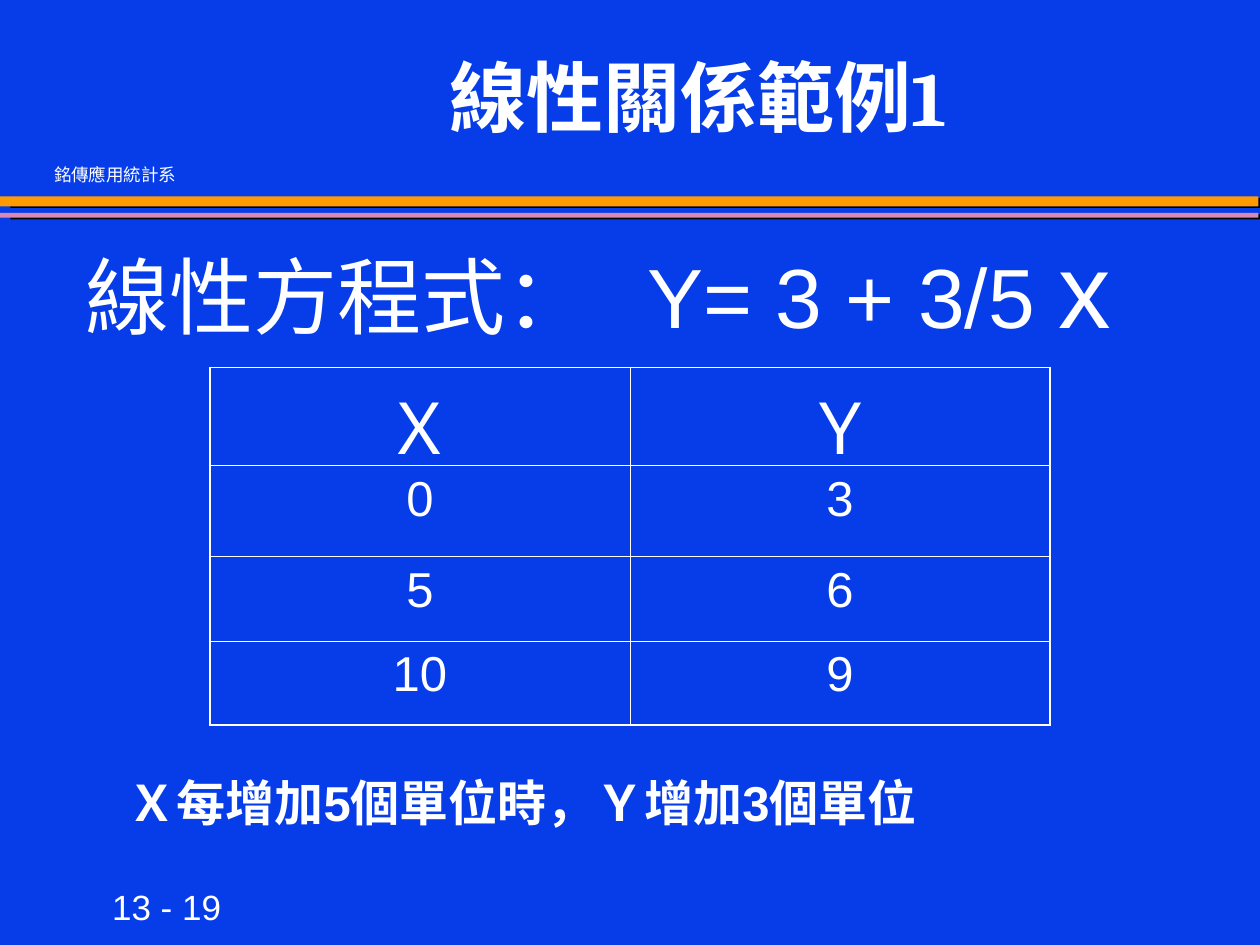
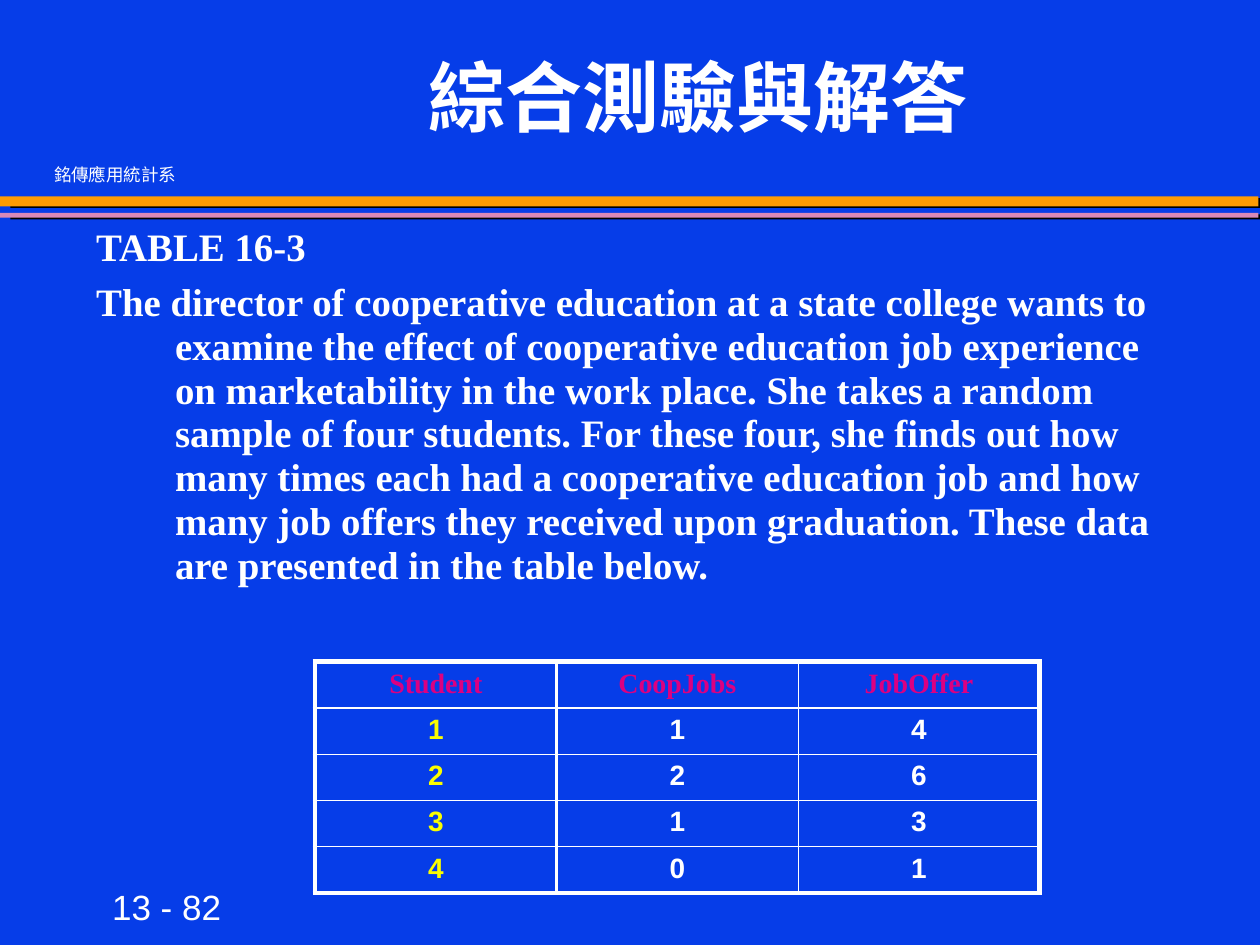
from lxml import etree
from pptx import Presentation
from pptx.dml.color import RGBColor
from pptx.enum import shapes, text
from pptx.oxml import ns
from pptx.util import Cm, Pt

BLUE = RGBColor(0x06, 0x3D, 0xE8)
ORANGE = RGBColor(0xFE, 0x9B, 0x03)
PINK = RGBColor(0xD9, 0x89, 0xB8)
WHITE = RGBColor(0xFF, 0xFF, 0xFF)
MAGENTA = RGBColor(0xDC, 0x00, 0x81)
YELLOW = RGBColor(0xFA, 0xFD, 0x00)
SANS, SERIF, TITLE_FONT = "Arial", "Times New Roman", "Cambria"

DEPARTMENT = "銘傳應用統計系"
BANDS = [(3.96, 0.2, ORANGE), (4.29, 0.1, PINK)]  # top, height, colour
THIN = 0.45

LINEAR = {
    "title": "線性關係範例1",
    "page": "13 - 19",
    "equation": [("線性方程式：\tY= 3 + 3/5 ", 48), ("x", 60)],
    "rows": [("Ｘ", "Ｙ"), ("0", "3"), ("5", "6"), ("10", "9")],
    "caption": "Ｘ每增加5個單位時，Ｙ增加3個單位",
}
QUIZ = {
    "title": "綜合測驗與解答",
    "page": "13 - 82",
    "body": [
        "TABLE 16-3",
        "The director of cooperative education at a state college wants to "
        "examine the effect of cooperative education job experience on "
        "marketability in the work place. She takes a random sample of four "
        "students. For these four, she finds out how many times each had a "
        "cooperative education job and how many job offers they received upon "
        "graduation. These data are presented in the table below.",
    ],
    "rows": [("Student", "CoopJobs", "JobOffer"), ("1", "1", "4"),
             ("2", "2", "6"), ("3", "1", "3"), ("4", "0", "1")],
}


def add_run(p, words, size, font=SANS, color=WHITE, bold=False):
    r = p.add_run()
    r.text = words
    f = r.font
    f.size, f.name, f.bold = Pt(size), font, bold
    f.color.rgb = color


def add_box(s, left, top, width, height, wrap=True):
    tf = s.shapes.add_textbox(Cm(left), Cm(top), Cm(width), Cm(height)).text_frame
    tf.word_wrap = wrap
    return tf


def add_band(s, top, height, color):
    sp = s.shapes.add_shape(shapes.MSO_SHAPE.RECTANGLE, 0, Cm(top), Cm(25.37), Cm(height))
    sp.fill.solid()
    sp.fill.fore_color.rgb = color
    sp.line.fill.background()
    sp.shadow.inherit = False
    effects = sp._element.spPr.find(ns.qn("a:effectLst"))
    shadow = etree.SubElement(effects, ns.qn("a:outerShdw"), blurRad="0",
                              dist=str(Pt(6.1)), dir=str(9 * 60000), algn="ctr")
    etree.SubElement(shadow, ns.qn("a:srgbClr"), val="000000")


def add_base_slide(prs, content):
    """Add a slide with the title, bands, department and page number."""
    s = prs.slides.add_slide(prs.slide_layouts[5])
    for band in BANDS:
        add_band(s, *band)

    title = s.shapes.title
    title.left, title.top, title.width, title.height = Cm(4.65), Cm(0.43), Cm(18.85), Cm(3.18)
    tf = title.text_frame
    tf.auto_size = text.MSO_AUTO_SIZE.NONE
    tf.vertical_anchor = text.MSO_ANCHOR.MIDDLE
    p = tf.paragraphs[0]
    p.alignment, p.line_spacing = text.PP_ALIGN.CENTER, 0.95
    add_run(p, content["title"], 44, TITLE_FONT, bold=True)

    add_run(add_box(s, 0.84, 3.18, 3.18, 1.09).paragraphs[0], DEPARTMENT, 10)
    add_run(add_box(s, 2.01, 17.73, 5.13, 1.09, wrap=False).paragraphs[0], content["page"], 20)
    return s


def set_borders(cell, widths):
    """Draw white borders; widths are points for left, right, top, bottom."""
    tcPr = cell._tc.get_or_add_tcPr()
    for i, (side, width) in enumerate(zip("LRTB", widths)):
        ln = etree.Element(ns.qn(f"a:ln{side}"), w=str(Pt(width)))
        fill = etree.SubElement(ln, ns.qn("a:solidFill"))
        etree.SubElement(fill, ns.qn("a:srgbClr"), val=str(WHITE))
        tcPr.insert(i, ln)


def rule_widths(count, outer, header):
    """Widths of the count + 1 rules along one direction of a table."""
    return [outer, header] + [THIN] * (count - 2) + [outer]


def add_table(s, rows, left, top, col_width, heights, outer, header, style):
    """Add a ruled table; style(row, col) gives the text format of a cell."""
    n_rows, n_cols = len(rows), len(rows[0])
    table = s.shapes.add_table(n_rows, n_cols, Cm(left), Cm(top),
                               Cm(col_width * n_cols), Cm(sum(heights))).table
    table.first_row = table.horz_banding = False
    for col in table.columns:
        col.width = Cm(col_width)
    across = rule_widths(n_cols, outer, header)
    down = rule_widths(n_rows, outer, header)
    for i, (row, height) in enumerate(zip(rows, heights)):
        table.rows[i].height = Cm(height)
        for j, words in enumerate(row):
            cell = table.cell(i, j)
            cell.fill.background()
            set_borders(cell, across[j:j + 2] + down[i:i + 2])
            p = cell.text_frame.paragraphs[0]
            p.alignment = text.PP_ALIGN.CENTER
            add_run(p, words, **style(i, j))


def linear_style(row, col):
    return {"size": 28 if row else 40}


def quiz_style(row, col):
    if row == 0:
        return {"size": 16, "bold": True, "font": SERIF, "color": MAGENTA}
    return {"size": 16, "bold": True, "color": WHITE if col else YELLOW}


def add_linear_slide(prs):
    s = add_base_slide(prs, LINEAR)
    add_table(s, LINEAR["rows"], 4.23, 7.41, 8.47, [1.98, 1.83, 1.7, 1.7],
              1.08, THIN, linear_style)
    caption = add_box(s, 2.33, 15.45, 20.75, 1.45)
    add_run(caption.paragraphs[0], LINEAR["caption"], 28, bold=True)

    p = add_box(s, 1.48, 4.66, 21.8, 2.12).paragraphs[0]
    p.line_spacing = 0.9
    tabs = etree.SubElement(p._p.get_or_add_pPr(), ns.qn("a:tabLst"))
    etree.SubElement(tabs, ns.qn("a:tab"), pos=str(Cm(11.33)), algn="l")
    for words, size in LINEAR["equation"]:
        add_run(p, words, size)


def add_quiz_slide(prs):
    s = add_base_slide(prs, QUIZ)
    tf = add_box(s, 1.69, 4.45, 21.8, 8.89)
    for i, words in enumerate(QUIZ["body"]):
        p = tf.add_paragraph() if i else tf.paragraphs[0]
        p.line_spacing = 0.94
        if i:
            p.space_before = Pt(6)
        pPr = p._p.get_or_add_pPr()
        pPr.set("marL", str(Cm(1.59)))
        pPr.set("indent", str(-Cm(1.59)))
        add_run(p, words, 22.2, SERIF, bold=True)
    add_table(s, QUIZ["rows"], 6.35, 13.34, 4.87, [0.93] * 5, 3, 1.47, quiz_style)


def main():
    prs = Presentation()
    prs.slide_width, prs.slide_height = Cm(25.4), Cm(19.05)
    fill = prs.slide_master.background.fill
    fill.solid()
    fill.fore_color.rgb = BLUE
    add_linear_slide(prs)
    add_quiz_slide(prs)
    prs.save("out.pptx")


if __name__ == "__main__":
    main()
